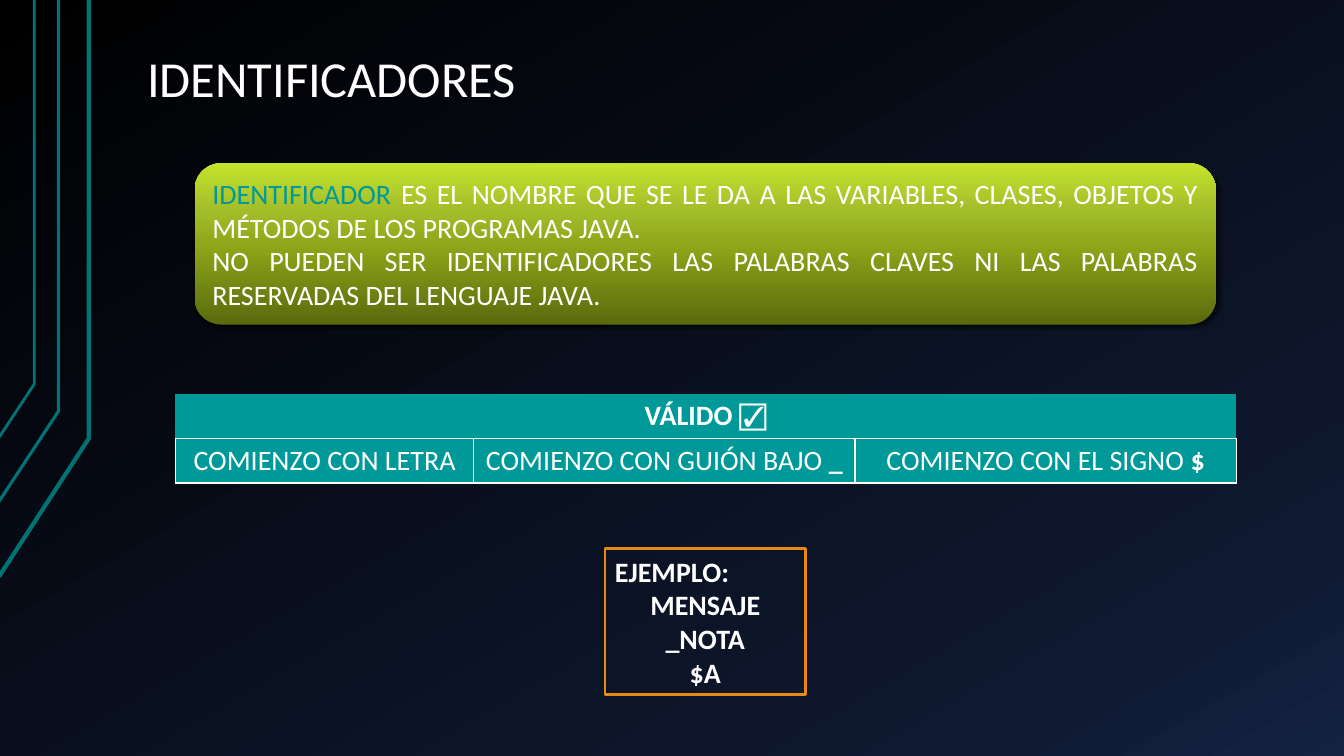
from lxml import etree
from pptx import Presentation
from pptx import util as u
from pptx.dml.color import RGBColor
from pptx.enum import shapes, text
from pptx.oxml import parse_xml
from pptx.oxml.ns import nsdecls, qn

WHITE = RGBColor(0xFF, 0xFF, 0xFF)
TEAL = RGBColor(0x00, 0x99, 0x99)
DARK_TEAL = RGBColor(0x00, 0x73, 0x73)
ORANGE = RGBColor(0xE9, 0x89, 0x15)
NIGHT = [(0, RGBColor(0, 0, 0)), (85, RGBColor(0x0F, 0x19, 0x31)),
         (100, RGBColor(0x14, 0x22, 0x42))]
LIME = [(0, RGBColor(0x5A, 0x6A, 0x0D)), (50, RGBColor(0x8F, 0xA7, 0x19)),
        (70, RGBColor(0xA3, 0xBC, 0x2A)), (100, RGBColor(0xC4, 0xE3, 0x2D))]

LEFT, CENTER, JUSTIFY = text.PP_ALIGN.LEFT, text.PP_ALIGN.CENTER, text.PP_ALIGN.JUSTIFY
BODY = {"name": "Calibri", "size": u.Pt(20), "bold": False}
BOLD = {**BODY, "bold": True}
HEADING = {**BODY, "size": u.Pt(36)}

# Content: paragraphs are (alignment, [(words, format, colour), ...])
TITLE = [(LEFT, [("IDENTIFICADORES", HEADING, WHITE)])]
DEFINITION = [
    (JUSTIFY, [("IDENTIFICADOR ", BODY, TEAL),
               ("ES EL NOMBRE QUE SE LE DA A LAS VARIABLES, CLASES, OBJETOS Y "
                "MÉTODOS DE LOS PROGRAMAS JAVA.", BODY, WHITE)]),
    (JUSTIFY, [("NO PUEDEN SER IDENTIFICADORES LAS PALABRAS CLAVES NI LAS PALABRAS "
                "RESERVADAS DEL LENGUAJE JAVA.", BODY, WHITE)]),
]
TABLE_HEADER = [("VÁLIDO ☑", BOLD, WHITE)]
VALID_STARTS = [("COMIENZO CON LETRA", ""), ("COMIENZO CON GUIÓN BAJO ", "_"),
                ("COMIENZO CON EL SIGNO ", "$")]
EXAMPLE = [(JUSTIFY, [("EJEMPLO:", BOLD, WHITE)])] + [
    (CENTER, [(name, BOLD, WHITE)]) for name in ("MENSAJE", "_NOTA", "$A")]

# Layout in inches: boxes are left, top, width, height
TITLE_BOX = (1.33, 0.44, 11.33, 0.71)
DEFINITION_BOX = (1.93, 1.62, 10.13, 1.6)
TABLE_BOX = (1.74, 3.91, 10.52, 0.82)
EXAMPLE_BOX = (6, 5.44, 1.99, 1.45)
COLUMNS = (2.96, 3.78, 3.78)
# Side lines: left end, its height, bend x, bend height, line width
SIDE_LINES = [(-0.01, 5.72, 0.88, 4.35, 3), (-0.02, 4.99, 0.58, 4.08, 2.25),
              (-0.01, 4.34, 0.34, 3.81, 2)]


def inches(values):
    return [u.Inches(value) for value in values]


def write(frame, paragraphs):
    frame.word_wrap = True
    for index, (alignment, runs) in enumerate(paragraphs):
        paragraph = frame.add_paragraph() if index else frame.paragraphs[0]
        paragraph.alignment = alignment
        for words, style, color in runs:
            run = paragraph.add_run()
            run.text = words
            run.font.color.rgb = color
            for name, value in style.items():
                setattr(run.font, name, value)


def set_gradient(fill, element, stops, angle):
    fill.gradient()
    gradient = next(element.iter(qn("a:gradFill")))
    for child in list(gradient):
        gradient.remove(child)
    stop_list = etree.SubElement(gradient, qn("a:gsLst"))
    for position, color in stops:
        stop = etree.SubElement(stop_list, qn("a:gs"), pos=str(position * 1000))
        etree.SubElement(stop, qn("a:srgbClr"), val=str(color))
    etree.SubElement(gradient, qn("a:lin"), ang=str(angle * 60000), scaled="0")


def set_borders(cell, visible):
    properties = cell._tc.get_or_add_tcPr()
    for index, side in enumerate("LRTB"):
        paint = (f'<a:solidFill><a:srgbClr val="{WHITE}"/></a:solidFill>'
                 if side in visible else "<a:noFill/>")
        properties.insert(index, parse_xml(
            f'<a:ln{side} {nsdecls("a")} w="12700">{paint}</a:ln{side}>'))


def add_box(kind, box, paragraphs):
    shape = slide.shapes.add_shape(kind, *inches(box))
    shape.shadow.inherit = False
    shape.fill.background()
    shape.line.fill.background()
    shape.text_frame.vertical_anchor = text.MSO_ANCHOR.MIDDLE
    write(shape.text_frame, paragraphs)
    return shape


presentation = Presentation()
presentation.slide_width, presentation.slide_height = inches((13.33, 7.5))
slide = presentation.slides.add_slide(presentation.slide_layouts[5])
set_gradient(slide.background.fill, slide.element, NIGHT, 60)

# Side lines
for end_x, end_y, bend_x, bend_y, width in SIDE_LINES:
    start, bend, top = map(inches, ((end_x, end_y), (bend_x, bend_y), (bend_x, 0)))
    builder = slide.shapes.build_freeform(*start)
    builder.add_line_segments([bend, top], close=False)
    line = builder.convert_to_shape()
    line.shadow.inherit = False
    line.fill.background()
    line.line.color.rgb = DARK_TEAL
    line.line.width = u.Pt(width)

# Title
title = slide.shapes.title
title.left, title.top, title.width, title.height = inches(TITLE_BOX)
frame = title.text_frame
frame.auto_size = text.MSO_AUTO_SIZE.NONE
frame.vertical_anchor = text.MSO_ANCHOR.BOTTOM
frame.margin_left, frame.margin_right = inches((0.13, 0.13))
frame.margin_top, frame.margin_bottom = inches((0.07, 0.07))
write(frame, TITLE)
frame.paragraphs[0].line_spacing = 0.9

# Definition with its soft shadow
definition = add_box(shapes.MSO_SHAPE.ROUNDED_RECTANGLE, DEFINITION_BOX, DEFINITION)
set_gradient(definition.fill, definition.element, LIME, 270)
effects = next(definition.element.iter(qn("a:effectLst")))
effects.append(parse_xml(
    f'<a:outerShdw {nsdecls("a")} blurRad="{u.Pt(3)}" dist="{u.Pt(2)}" dir="2700000">'
    '<a:srgbClr val="000000"><a:alpha val="60000"/></a:srgbClr></a:outerShdw>'))

# Table of valid starts
table = slide.shapes.add_table(2, len(COLUMNS), *inches(TABLE_BOX)).table
for column, width in zip(table.columns, COLUMNS):
    column.width = u.Inches(width)
table.cell(0, 0).merge(table.cell(0, len(COLUMNS) - 1))
write(table.cell(0, 0).text_frame, [(CENTER, TABLE_HEADER)])
for index, (words, sign) in enumerate(VALID_STARTS):
    runs = [(words, BODY, WHITE)] + ([(sign, BOLD, WHITE)] if sign else [])
    write(table.cell(1, index).text_frame, [(CENTER, runs)])
for row, visible in enumerate(("B", "LRTB")):
    for cell in table.rows[row].cells:
        cell.fill.solid()
        cell.fill.fore_color.rgb = TEAL
        set_borders(cell, visible)

# Example
example = add_box(shapes.MSO_SHAPE.RECTANGLE, EXAMPLE_BOX, EXAMPLE)
example.line.color.rgb = ORANGE
example.line.width = u.Pt(2)

presentation.save("out.pptx")
